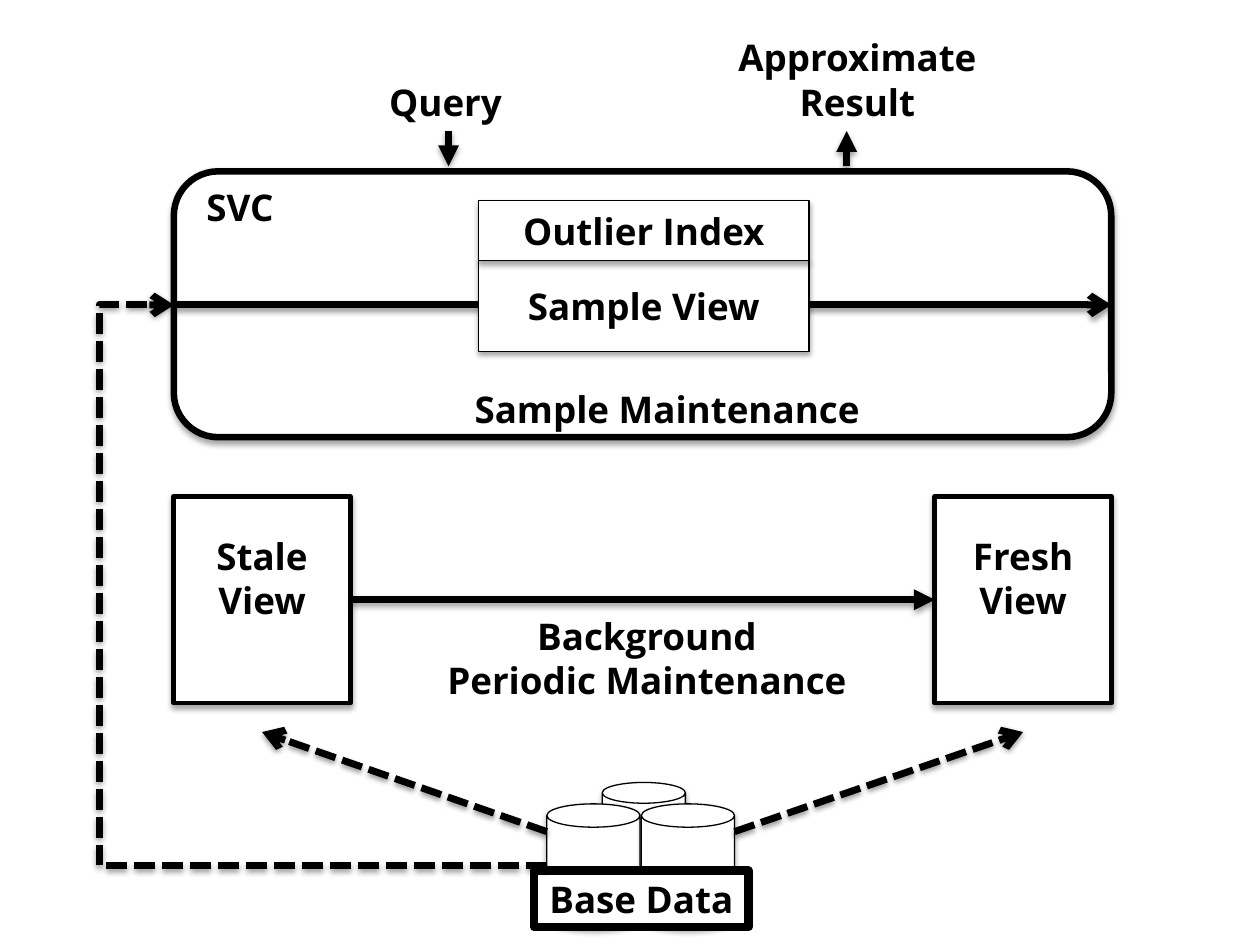
from dataclasses import dataclass

from lxml import etree
from pptx import Presentation
from pptx import util as u
from pptx.dml.color import RGBColor
from pptx.enum import dml, shapes, text
from pptx.oxml.ns import qn

COLORS = {"ink": "000000", "paper": "FFFFFF"}
FONT, SIZE = "Open Sans", 21
KIND = shapes.MSO_SHAPE
CENTER, LEFT = text.PP_ALIGN.CENTER, text.PP_ALIGN.LEFT


@dataclass
class Box:
    left: float
    top: float
    width: float
    height: float
    label: str = ""
    line: float = 0.75
    kind: int = KIND.RECTANGLE
    bottom_inset: float = 0.05
    shadow: bool = True
    wrap: bool = True


@dataclass
class Label:
    left: float
    top: float
    width: float
    height: float
    lines: tuple[str, ...]
    align: int = CENTER
    wrap: bool = False


@dataclass
class Arrow:
    x1: float
    y1: float
    x2: float
    y2: float
    head: str = "triangle"
    dashed: bool = False


def color(name: str) -> RGBColor:
    return RGBColor.from_string(COLORS[name])


def add_shadow(sp_pr, distance: int, alpha: int) -> None:
    effects = sp_pr.find(qn("a:effectLst"))
    if effects is None:
        effects = etree.SubElement(sp_pr, qn("a:effectLst"))
    shadow = etree.SubElement(effects, qn("a:outerShdw"), blurRad="40000",
                              dist=str(distance), dir="5400000", rotWithShape="0")
    ink = etree.SubElement(shadow, qn("a:srgbClr"), val=COLORS["ink"])
    etree.SubElement(ink, qn("a:alpha"), val=str(alpha * 1000))


def write(tf, lines: tuple[str, ...], align: int, wrap: bool) -> None:
    tf.word_wrap = wrap
    for i, line in enumerate(lines):
        p = tf.paragraphs[0] if i == 0 else tf.add_paragraph()
        p.alignment = align
        r = p.add_run()
        r.text = line
        r.font.name, r.font.size, r.font.bold = FONT, u.Pt(SIZE), True
        r.font.color.rgb = color("ink")


def draw_box(s, b: Box) -> None:
    sp = s.shapes.add_shape(b.kind, u.Inches(b.left), u.Inches(b.top),
                            u.Inches(b.width), u.Inches(b.height))
    sp.fill.solid()
    sp.fill.fore_color.rgb = color("paper")
    sp.line.color.rgb = color("ink")
    sp.line.width = u.Pt(b.line)
    sp.shadow.inherit = False
    if b.shadow:
        add_shadow(sp._element.spPr, 23000, 35)
    if b.label:
        tf = sp.text_frame
        tf.vertical_anchor = text.MSO_ANCHOR.MIDDLE
        tf.margin_bottom = u.Inches(b.bottom_inset)
        write(tf, (b.label,), CENTER, b.wrap)


def draw_label(s, t: Label) -> None:
    tb = s.shapes.add_textbox(u.Inches(t.left), u.Inches(t.top),
                              u.Inches(t.width), u.Inches(t.height))
    write(tb.text_frame, t.lines, t.align, t.wrap)
    tb.text_frame.auto_size = text.MSO_AUTO_SIZE.SHAPE_TO_FIT_TEXT


def draw_arrow(s, a: Arrow, kind=shapes.MSO_CONNECTOR.STRAIGHT):
    c = s.shapes.add_connector(kind, u.Inches(a.x1), u.Inches(a.y1),
                               u.Inches(a.x2), u.Inches(a.y2))
    c.line.color.rgb = color("ink")
    c.line.width = u.Pt(4)
    if a.dashed:
        c.line.dash_style = dml.MSO_LINE.SQUARE_DOT
    etree.SubElement(c.line._get_or_add_ln(), qn("a:tailEnd"), type=a.head)
    add_shadow(c._element.spPr, 20000, 38)
    return c


def draw_feedback(s, a: Arrow, reach: float) -> None:
    """Elbow turned half round, so that it runs from lower right to upper left."""
    c = draw_arrow(s, a, shapes.MSO_CONNECTOR.ELBOW)
    sp_pr = c._element.spPr
    xfrm = sp_pr.find(qn("a:xfrm"))
    for flip in ("flipH", "flipV"):
        xfrm.attrib.pop(flip, None)
    xfrm.set("rot", "10800000")
    guides = sp_pr.find(qn("a:prstGeom")).find(qn("a:avLst"))
    etree.SubElement(guides, qn("a:gd"), name="adj1", fmla=f"val {round(reach * 100000)}")


def draw(s, items: list) -> None:
    painters = {Box: draw_box, Label: draw_label, Arrow: draw_arrow}
    for item in items:
        painters[type(item)](s, item)


def main() -> None:
    prs = Presentation()
    prs.slide_width, prs.slide_height = u.Inches(10), u.Inches(7.5)
    s = prs.slides.add_slide(prs.slide_layouts[6])
    left, right, view_w, flow_y = 1.38, 8.82, 1.4, 2.42

    # Views and background maintenance
    draw(s, [Box(x, 3.94, view_w, 1.64, name, 2.75, bottom_inset=0.4)
             for x, name in ((left, "Stale View"), (right - view_w, "Fresh View"))])
    draw(s, [
        Arrow(left + view_w, 4.76, right - view_w, 4.76),
        Label(3.42, 4.82, 3.43, 0.81, ("Background", "Periodic Maintenance")),
    ])

    # Base data and its updates to the views
    draw(s, [
        Box(4.78, 6.21, 0.66, 0.88, kind=KIND.CAN),
        Box(4.34, 6.38, 0.74, 0.99, kind=KIND.CAN),
        Box(5.09, 6.38, 0.74, 0.99, kind=KIND.CAN),
        Box(4.24, 6.91, 1.7, 0.45, "Base Data", 4.75, shadow=False, wrap=False),
        Arrow(4.34, 6.6, left + view_w / 2, 5.81, "arrow", True),
        Arrow(5.83, 6.6, right - view_w / 2, 5.81, "arrow", True),
    ])

    # SVC frame and the flow through it
    draw(s, [
        Box(left, 1.36, right - left, 2.11, line=3.75, kind=KIND.ROUNDED_RECTANGLE),
        Label(1.54, 1.42, 0.79, 0.45, ("SVC",), LEFT),
        Arrow(left, flow_y, right, flow_y, "arrow"),
    ])
    draw_feedback(s, Arrow(4.34, 6.87, left, flow_y, "arrow", True), 1.2)

    # Sample view, query and result
    draw(s, [
        Box(3.8, 2.07, 2.62, 0.72, "Sample View"),
        Label(2.4, 3.02, 5.79, 0.45, ("Sample Maintenance",), wrap=True),
        Label(2.99, 0.58, 1.12, 0.45, ("Query",), LEFT),
        Arrow(3.56, 1.04, 3.56, 1.32),
        Label(5.44, 0.23, 2.73, 0.81, ("Approximate", "Result"), wrap=True),
        Arrow(6.72, 1.32, 6.72, 1.04),
        Box(3.8, 1.59, 2.62, 0.48, "Outlier Index"),
    ])
    prs.save("out.pptx")


if __name__ == "__main__":
    main()
